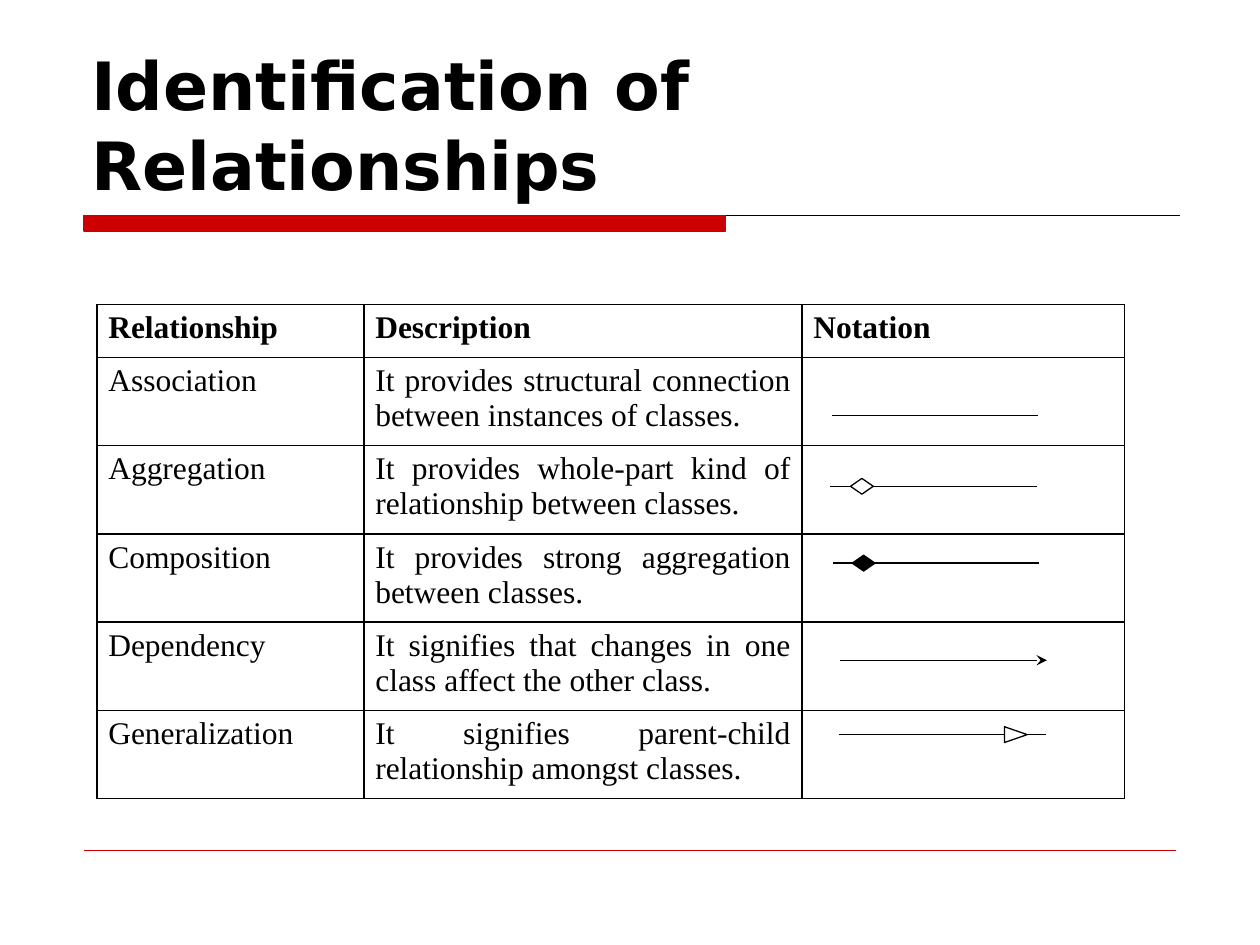
import pptx
import pptx.util
import pptx.dml.color
import pptx.enum.shapes
import pptx.enum.text
import pptx.oxml
import pptx.oxml.ns
from lxml import etree

Pt = pptx.util.Pt
MSO = pptx.enum.shapes.MSO_SHAPE
PP = pptx.enum.text.PP_ALIGN
RGB = pptx.dml.color.RGBColor.from_string
qn = pptx.oxml.ns.qn

THEME = {
    "black": "000000", "white": "FFFFFF", "red": "CC0000",
    "title": {"name": "DejaVu Sans", "size": Pt(38), "bold": True},
    "head": {"name": "Times New Roman", "size": Pt(18), "bold": True},
    "body": {"name": "Times New Roman", "size": Pt(18), "bold": False},
}

prs = pptx.Presentation()
prs.slide_width, prs.slide_height = Pt(720), Pt(540)
s = prs.slides.add_slide(prs.slide_layouts[6])


def add_line(x, y, width, color="black"):
    """Add a thin horizontal line without shadow and return it."""
    c = s.shapes.add_connector(pptx.enum.shapes.MSO_CONNECTOR.STRAIGHT,
                               Pt(x), Pt(y), Pt(x + width), Pt(y))
    c.line.color.rgb = RGB(THEME[color])
    c.line.width = Pt(0.75)
    etree.SubElement(c._element.spPr, qn("a:effectLst"))
    return c


def write(tf, text, style, align):
    p = tf.paragraphs[0]
    p.alignment = align
    r = p.add_run()
    r.text = text
    for name, value in THEME[style].items():
        setattr(r.font, name, value)
    r.font.color.rgb = RGB(THEME["black"])


# Title, rule with red bar, footer rule
add_line(48, 123, 626.5)
add_line(48, 486, 624, "red")
tb = s.shapes.add_textbox(Pt(45), Pt(24), Pt(630), Pt(96))
tf = tb.text_frame
tf.word_wrap = True
tf.vertical_anchor = pptx.enum.text.MSO_ANCHOR.BOTTOM
write(tf, "Identification of Relationships", "title", PP.LEFT)

# Table of relationships
rows = [
    ("Relationship", "Description", "Notation"),
    ("Association", "It provides structural connection between instances of classes.", ""),
    ("Aggregation", "It provides whole-part kind of relationship between classes.", ""),
    ("Composition", "It provides strong aggregation between classes.", ""),
    ("Dependency", "It signifies that changes in one class affect the other class.", ""),
    ("Generalization", "It signifies parent-child relationship amongst classes.", ""),
]
col_widths = [152.6, 250.4, 184.2]
row_heights = [30.2] + [50.4] * 5
table = s.shapes.add_table(len(rows), len(col_widths), Pt(55.4), Pt(174),
                           Pt(sum(col_widths)), Pt(sum(row_heights))).table
table.first_row = table.horz_banding = False
for col, width in zip(table.columns, col_widths):
    col.width = Pt(width)
for row, height in zip(table.rows, row_heights):
    row.height = Pt(height)

cell_format = {"margin_left": Pt(6.5), "margin_right": Pt(6.5),
               "margin_top": Pt(3.6), "margin_bottom": Pt(3.6)}
for i, texts in enumerate(rows):
    for j, text in enumerate(texts):
        cell = table.cell(i, j)
        for name, value in cell_format.items():
            setattr(cell, name, value)
        tcPr = cell._tc.get_or_add_tcPr()
        for side in ("lnL", "lnR", "lnT", "lnB"):
            ln = etree.SubElement(tcPr, qn("a:" + side), w=str(Pt(1)))
            fill = etree.SubElement(ln, qn("a:solidFill"))
            etree.SubElement(fill, qn("a:srgbClr"), val=THEME["black"])
        cell.fill.background()
        if text:
            write(cell.text_frame, text, "body" if i else "head", PP.JUSTIFY)

# Notation lines, one for each relationship
notation = {
    "association": (475.2, 237.6),
    "aggregation": (474.5, 277.9),
    "composition": (475.9, 321.8),
    "dependency": (480.2, 377.3),
    "generalization": (479.5, 419.8),
}
lines = {name: add_line(x, y, 118) for name, (x, y) in notation.items()}
ln = lines["dependency"].line._get_or_add_ln()
etree.SubElement(ln, qn("a:tailEnd"), type="stealth")

# Filled symbols, each centred on its line: kind, left, top, width, height, rotation, fill, line
symbols = [
    (MSO.RECTANGLE, 48, 123, 366.5, 9, 0, "red", "red"),
    (MSO.DIAMOND, 486, 273.4, 13, 9, 0, "white", "black"),
    (MSO.DIAMOND, 487, 317.3, 13, 9, 0, "black", "black"),
    (MSO.ISOSCELES_TRIANGLE, 576, 413.3, 9, 13, 90, "white", "black"),
]
for kind, x, y, w, h, rotation, fill, line in symbols:
    sp = s.shapes.add_shape(kind, Pt(x), Pt(y), Pt(w), Pt(h))
    sp.shadow.inherit = False
    sp.rotation = rotation
    sp.fill.solid()
    sp.fill.fore_color.rgb = RGB(THEME[fill])
    sp.line.color.rgb = RGB(THEME[line])
    sp.line.width = Pt(0.75)

prs.save("out.pptx")
